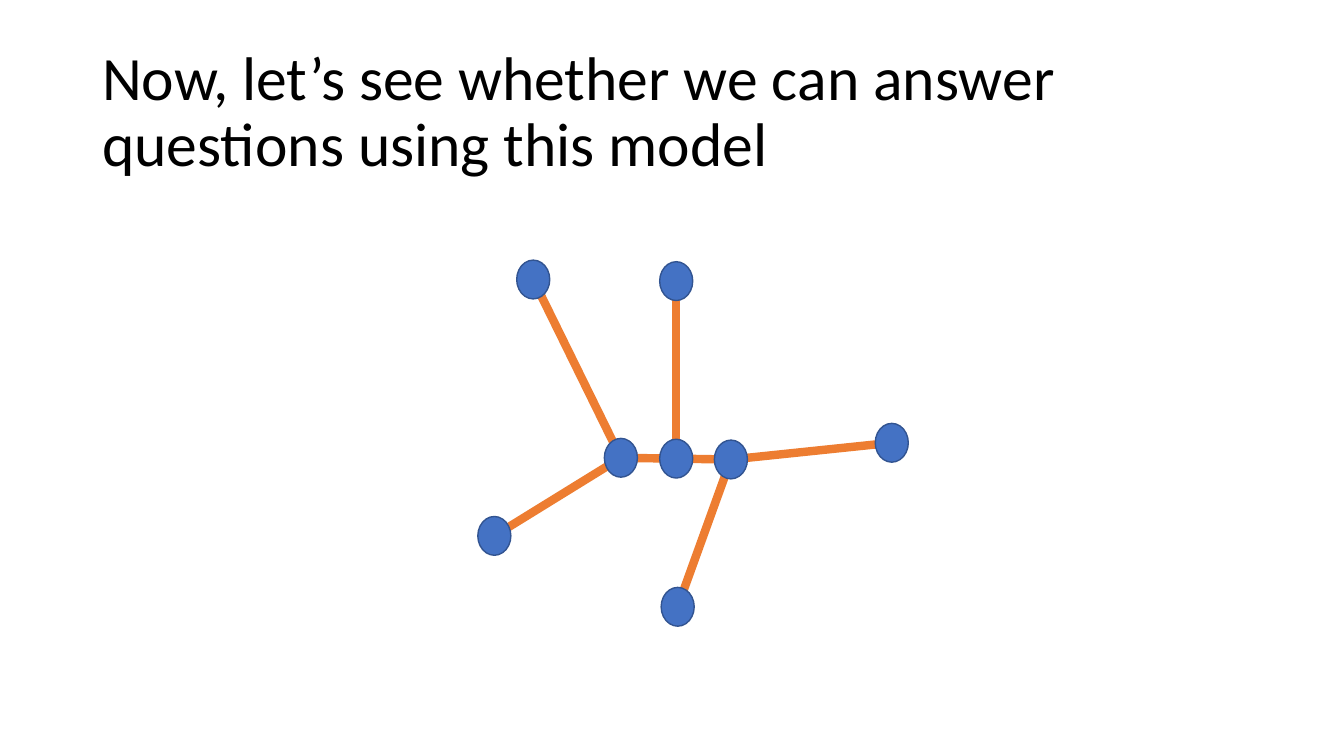
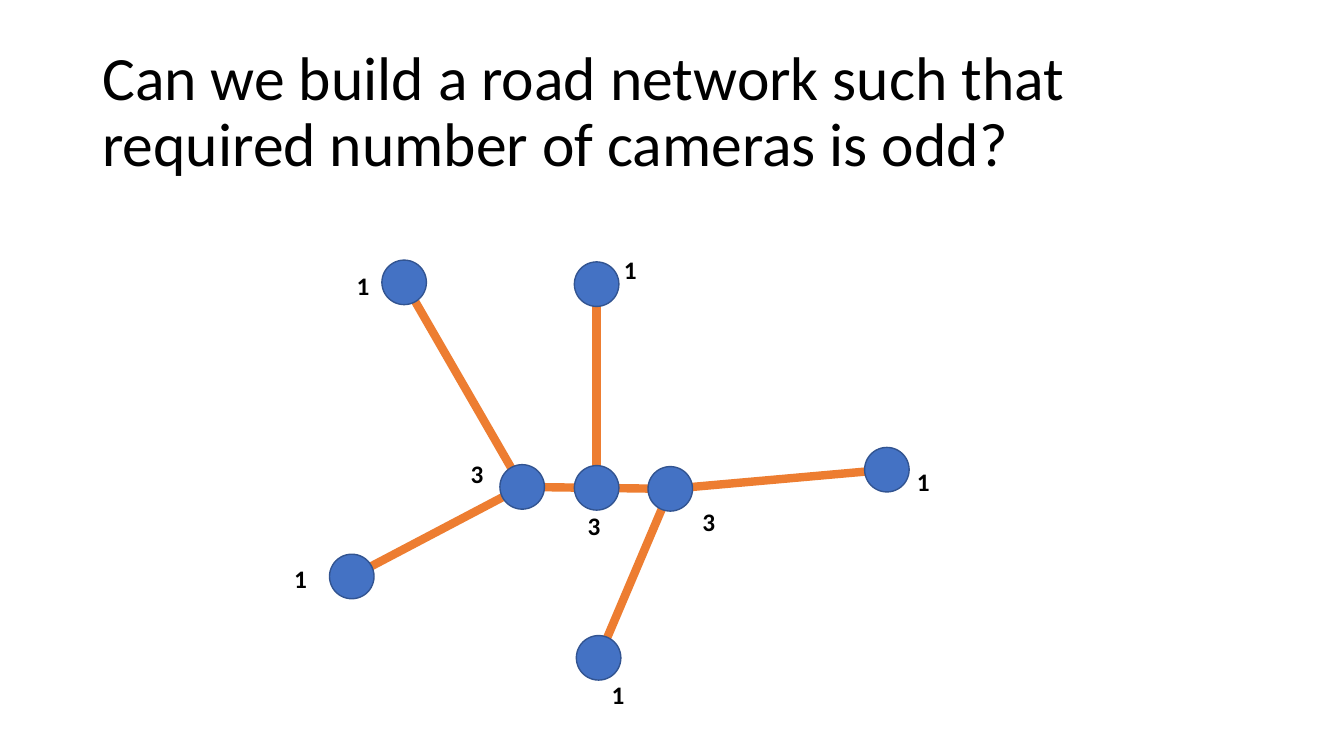
import pptx
import pptx.util
import pptx.dml.color
import pptx.enum.shapes
import pptx.enum.text
import pptx.oxml
import pptx.oxml.ns

Pt = pptx.util.Pt

FONT = "Calibri"
COLORS = {"text": "000000", "node": "4472C4", "outline": "325491", "road": "ED7D31"}

TITLE_BOX = (66, 28.75, 828, 104.4)

# Road network on a 414 x 300 grid: centre of each junction
GRID_W, GRID_H, NODE = 414, 300, 31.8
NODES = {
    "west hub": (137.6, 162),
    "middle hub": (190.8, 162.7),
    "east hub": (243.4, 163.4),
    "east": (398.1, 149.7),
    "north": (190.8, 17.2),
    "northwest": (53.3, 15.9),
    "southwest": (15.9, 226),
    "south": (192.2, 284.1),
}
ROADS = [
    ("west hub", "middle hub"),
    ("middle hub", "east hub"),
    ("east hub", "east"),
    ("north", "middle hub"),
    ("west hub", "northwest"),
    ("southwest", "west hub"),
    ("east hub", "south"),
]
# Top left corner of each label, measured from the centre of its junction
LABEL_OFFSETS = {
    "east hub": (15.8, 8.6),
    "north": (12.3, -25.2),
    "east": (14.4, -5.7),
    "southwest": (-48.3, -12.9),
    "northwest": (-41, -12.2),
    "south": (2.1, 11.5),
    "middle hub": (-13.6, 12.2),
    "west hub": (-44, -23.8),
}
LABEL_W, LABEL_H = 24, 29


def rgb(name):
    return pptx.dml.color.RGBColor.from_string(COLORS[name])


def add_text(s, box, text, size, bold=False, spacing=1.0,
             anchor=pptx.enum.text.MSO_ANCHOR.TOP):
    tf = s.shapes.add_textbox(*map(Pt, box)).text_frame
    tf.word_wrap = True
    tf.vertical_anchor = anchor
    p = tf.paragraphs[0]
    p.text = text
    p.line_spacing = spacing
    p.font.name, p.font.size, p.font.bold = FONT, Pt(size), bold
    p.font.color.rgb = rgb("text")


def add_title(s, text):
    add_text(s, TITLE_BOX, text, 44, spacing=0.9,
             anchor=pptx.enum.text.MSO_ANCHOR.MIDDLE)


def add_road(shapes, start, end):
    road = shapes.add_connector(pptx.enum.shapes.MSO_CONNECTOR.STRAIGHT,
                                *map(Pt, start + end))
    road.line.color.rgb = rgb("road")
    road.line.width = Pt(6)
    road._element.spPr.append(pptx.oxml.parse_xml(
        "<a:effectLst %s/>" % pptx.oxml.ns.nsdecls("a")))


def add_node(shapes, center, w, h):
    x, y = center
    sp = shapes.add_shape(pptx.enum.shapes.MSO_SHAPE.OVAL,
                          Pt(x - w / 2), Pt(y - h / 2), Pt(w), Pt(h))
    sp.shadow.inherit = False
    sp.fill.solid()
    sp.fill.fore_color.rgb = rgb("node")
    sp.line.color.rgb = rgb("outline")
    sp.line.width = Pt(1)


def add_network(s, box):
    """Stretch the network to the box and return the junction centres."""
    left, top, width, height = box
    sx, sy = width / GRID_W, height / GRID_H
    centers = {name: (left + x * sx, top + y * sy)
               for name, (x, y) in NODES.items()}
    shapes = s.shapes.add_group_shape().shapes
    for start, end in ROADS:
        add_road(shapes, centers[start], centers[end])
    for center in centers.values():
        add_node(shapes, center, NODE * sx, NODE * sy)
    return centers


def add_degree_labels(s, centers):
    """Write beside each junction how many roads meet there."""
    for name, (dx, dy) in LABEL_OFFSETS.items():
        x, y = centers[name]
        degree = sum(name in road for road in ROADS)
        add_text(s, (x + dx, y + dy, LABEL_W, LABEL_H), str(degree), 18, bold=True)


def build_network_slide(prs, title, box, labelled=False):
    s = prs.slides.add_slide(prs.slide_layouts[6])
    add_title(s, title)
    centers = add_network(s, box)
    if labelled:
        add_degree_labels(s, centers)


def main():
    prs = pptx.Presentation()
    prs.slide_width, prs.slide_height = Pt(960), Pt(540)
    build_network_slide(
        prs, "Now, let’s see whether we can answer questions using this model",
        (341.3, 185.8, 307.5, 261.5))
    build_network_slide(
        prs, "Can we build a road network such that required number of cameras is odd?",
        (235.4, 185.8, 414, 300), labelled=True)
    prs.save("out.pptx")


if __name__ == "__main__":
    main()
